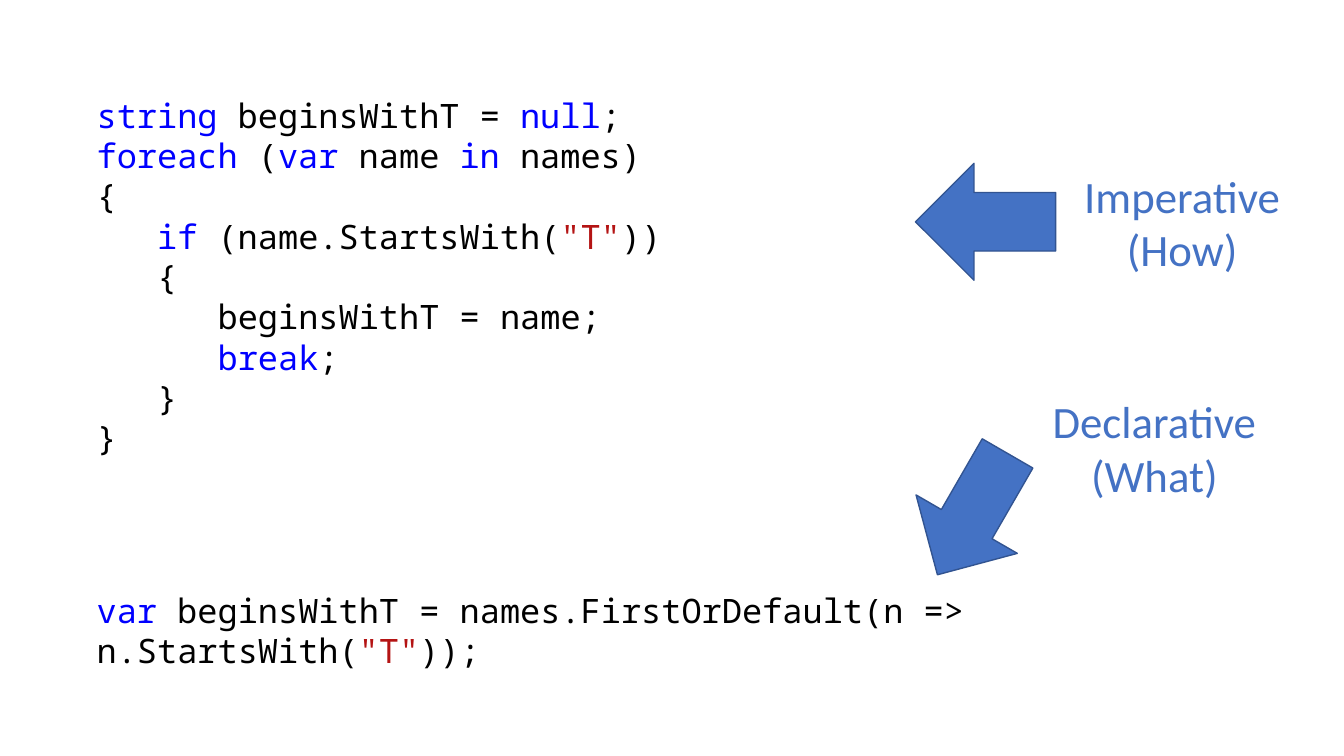
from dataclasses import dataclass

from pptx import Presentation
from pptx.dml.color import RGBColor
from pptx.enum.shapes import MSO_SHAPE
from pptx.enum.text import MSO_ANCHOR, PP_ALIGN
from pptx.util import Emu, Pt

EMU_PER_PX = 9144  # 100 px to the inch


@dataclass(frozen=True)
class Theme:
    plain: str = "000000"
    keyword: str = "0000FF"
    literal: str = "B41414"
    accent: str = "4472C4"
    outline: str = "325491"
    code_font: str = "Noto Sans Mono"
    label_font: str = "Calibri"
    code_size: int = 24
    label_size: int = 32


THEME = Theme()

# Code lines: each run is (text, colour)
IMPERATIVE_CODE = [
    [("string ", THEME.keyword), ("beginsWithT = ", THEME.plain),
     ("null", THEME.keyword), (";", THEME.plain)],
    [("foreach", THEME.keyword), (" (", THEME.plain), ("var", THEME.keyword),
     (" name ", THEME.plain), ("in", THEME.keyword), (" names)", THEME.plain)],
    [("{", THEME.plain)],
    [("   if", THEME.keyword), (" (name.StartsWith(", THEME.plain),
     ('"T"', THEME.literal), ("))", THEME.plain)],
    [("   {", THEME.plain)],
    [("      beginsWithT = name;", THEME.plain)],
    [("      break", THEME.keyword), (";", THEME.plain)],
    [("   }", THEME.plain)],
    [("}", THEME.plain)],
]
DECLARATIVE_CODE = [
    [("var ", THEME.keyword),
     ("beginsWithT = names.FirstOrDefault(n => n.StartsWith(", THEME.plain),
     ('"T"', THEME.literal), ("));", THEME.plain)],
]


def px(*lengths):
    return [Emu(length * EMU_PER_PX) for length in lengths]


def add_text(slide, lines, box, *, font, size, align=PP_ALIGN.LEFT):
    """Add a text box with one paragraph for each line of coloured runs."""
    frame = slide.shapes.add_textbox(*px(*box)).text_frame
    frame.word_wrap = True
    frame.vertical_anchor = MSO_ANCHOR.TOP
    for index, line in enumerate(lines):
        paragraph = frame.add_paragraph() if index else frame.paragraphs[0]
        paragraph.alignment = align
        for text, color in line:
            run = paragraph.add_run()
            run.text = text
            run.font.name = font
            run.font.size = Pt(size)
            run.font.color.rgb = RGBColor.from_string(color)


def add_code(slide, lines, box):
    add_text(slide, lines, box, font=THEME.code_font, size=THEME.code_size)


def add_label(slide, words, box):
    lines = [[(word, THEME.accent)] for word in words]
    add_text(slide, lines, box, font=THEME.label_font, size=THEME.label_size,
             align=PP_ALIGN.CENTER)


def add_arrow(slide, left, top, rotation):
    arrow = slide.shapes.add_shape(MSO_SHAPE.RIGHT_ARROW, *px(left, top, 139, 116))
    arrow.rotation = rotation
    arrow.shadow.inherit = False
    arrow.fill.solid()
    arrow.fill.fore_color.rgb = RGBColor.from_string(THEME.accent)
    arrow.line.color.rgb = RGBColor.from_string(THEME.outline)
    arrow.line.width = Pt(1)


def main():
    presentation = Presentation()
    presentation.slide_width, presentation.slide_height = px(1333, 750)
    slide = presentation.slides.add_slide(presentation.slide_layouts[6])

    # Code samples
    add_code(slide, IMPERATIVE_CODE, (86, 89, 1156, 374))
    add_code(slide, DECLARATIVE_CODE, (86, 580, 1186, 50))

    # Imperative style
    add_arrow(slide, 908, 162, rotation=180)
    add_label(slide, ["Imperative", "(How)"], (1043, 162, 259, 118))

    # Declarative style
    add_arrow(slide, 895, 452, rotation=120)
    add_label(slide, ["Declarative", "(What)"], (1027, 386, 236, 118))

    presentation.save("out.pptx")


if __name__ == "__main__":
    main()
